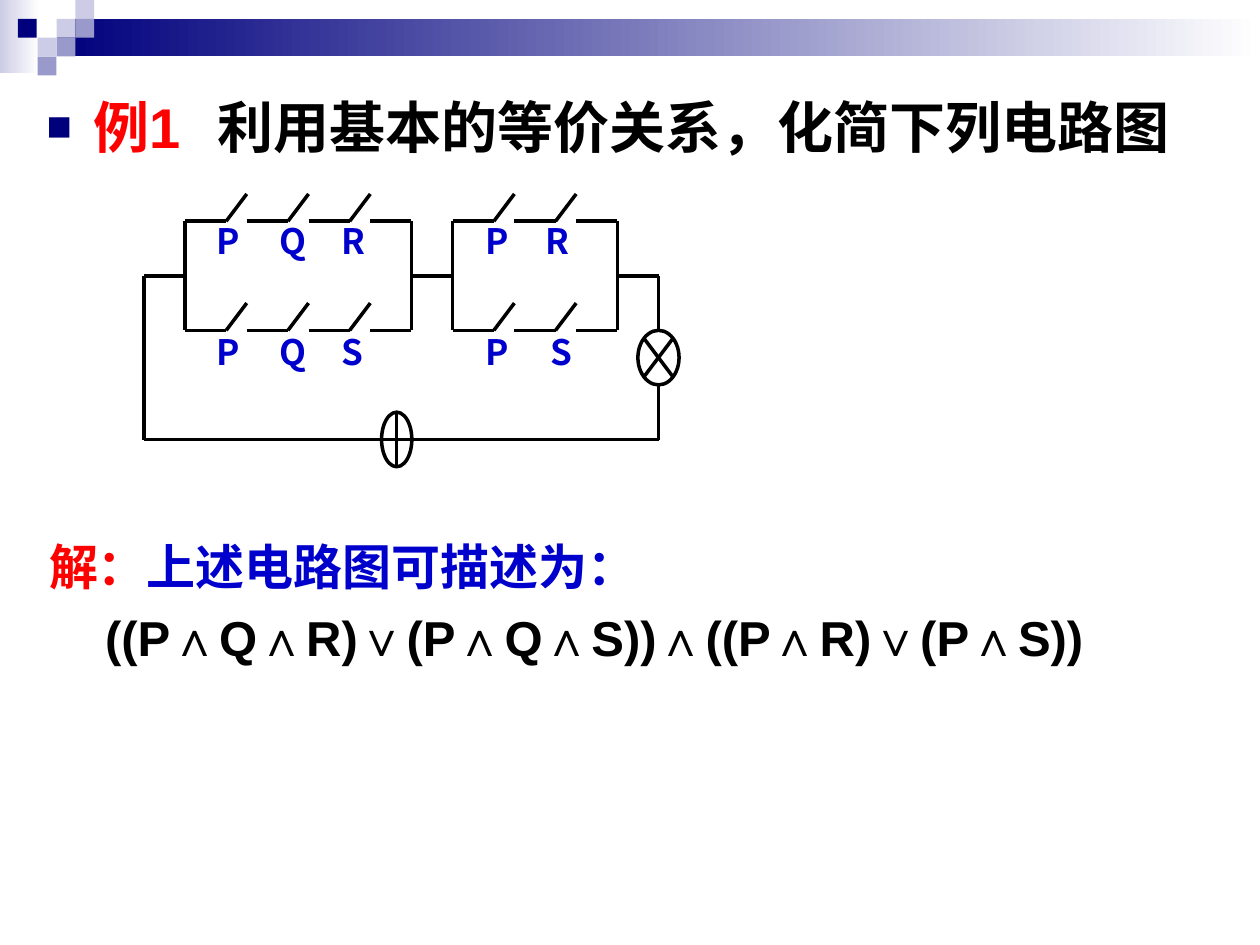
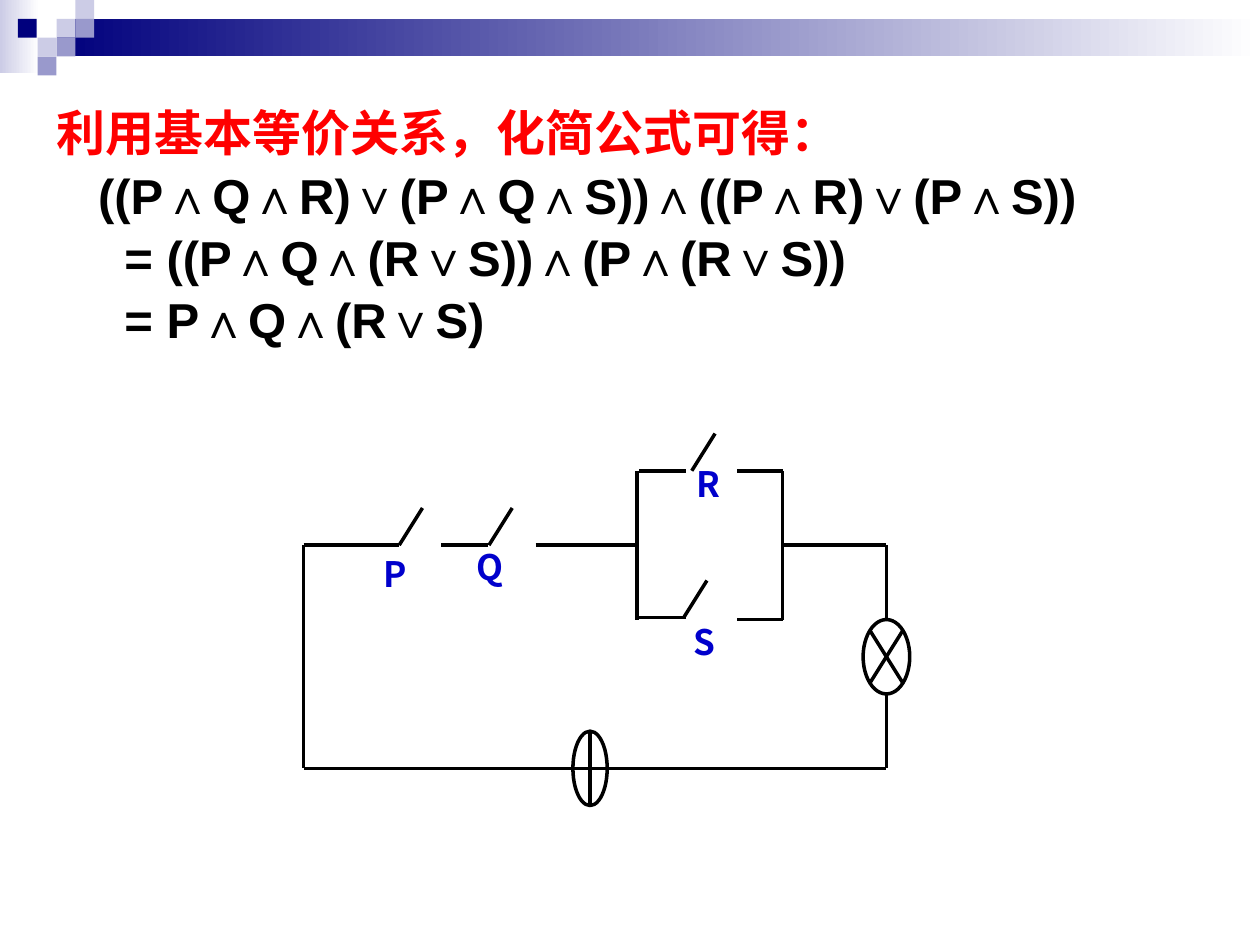
import dataclasses

import pptx
import pptx.dml.color
import pptx.enum.dml
import pptx.enum.shapes
import pptx.enum.text
import pptx.oxml
import pptx.oxml.ns
import pptx.util

Cm = pptx.util.Cm
Pt = pptx.util.Pt
KIND = pptx.enum.shapes.MSO_SHAPE
ANCHOR = pptx.enum.text.MSO_ANCHOR
ALIGN = pptx.enum.text.PP_ALIGN
FIT = pptx.enum.text.MSO_AUTO_SIZE

COLORS = {"navy": "00007D", "mid": "9999CC", "pale": "CCCCE6", "white": "FFFFFF",
          "black": "000000", "red": "FF0000", "blue": "0000CC"}
LATIN, ASIAN = "Arial", "Noto Sans CJK SC"
HEAD = {"size": Pt(32), "bold": True, "name": LATIN}
BODY = {"size": Pt(28), "bold": True, "name": LATIN}
LABEL = {"size": Pt(20), "bold": True, "name": ASIAN}
FRAME = {"word_wrap": True, "auto_size": FIT.NONE, "vertical_anchor": ANCHOR.TOP}
FORMULA = "((P∧Q∧R)∨(P∧Q∧S))∧((P∧R)∨(P∧S))"

# left, top, side and colour of the header squares
SIDE = 0.38
SQUARES = [(1.14, 0.38, "pale"), (1.52, 0, "pale"), (1.52, 0.38, "mid"),
           (0.76, 0.76, "pale"), (0.36, 0.38, "navy"), (1.14, 0.76, "mid"),
           (0.76, 1.14, "mid")]


@dataclasses.dataclass
class Grid:
    """Maps circuit units to lengths on one slide."""
    slide: object
    left: float
    top: float
    dx: float
    dy: float

    def spot(self, x, y):
        return Cm(self.left + x * self.dx), Cm(self.top + y * self.dy)


def tint(name):
    return pptx.dml.color.RGBColor.from_string(COLORS[name])


def box(slide, x, y, wide, high, start, end=None):
    """A borderless rectangle, plain or fading to the right."""
    shape = slide.shapes.add_shape(KIND.RECTANGLE, Cm(x), Cm(y), Cm(wide), Cm(high))
    shape.shadow.inherit = False
    shape.line.fill.background()
    if end is None:
        shape.fill.solid()
        shape.fill.fore_color.rgb = tint(start)
    else:
        shape.fill.gradient()
        shape.fill.gradient_angle = 0
        for stop, name in zip(shape.fill.gradient_stops, (start, end)):
            stop.color.rgb = tint(name)


def band(slide):
    box(slide, 0, 0, 0.79, 1.47, "pale", "white")
    box(slide, 1.14, 0.38, 24.26, 0.76, "navy", "white")
    for x, y, name in SQUARES:
        box(slide, x, y, SIDE, SIDE, name)


def style(run, form, color):
    for key, value in form.items():
        setattr(run.font, key, value)
    run.font.color.rgb = tint(color)
    east = pptx.oxml.parse_xml(
        f'<a:ea {pptx.oxml.ns.nsdecls("a")} typeface="{ASIAN}"/>')
    run.font._element.append(east)


def write(para, parts, form, indent=0.0, before=0):
    """Fills a paragraph with (text, colour) runs."""
    para.alignment = ALIGN.LEFT
    para._p.get_or_add_pPr().set("marL", str(Cm(indent)))
    if before:
        para.space_before = Pt(before)
    for text, color in parts:
        run = para.add_run()
        run.text = text
        style(run, form, color)


def frame(shape, x, y, wide, high, pad=(0.25, 0.13)):
    """Places a text shape and returns its prepared frame."""
    for key, value in zip(("left", "top", "width", "height"), (x, y, wide, high)):
        setattr(shape, key, Cm(value))
    text = shape.text_frame
    for key, value in FRAME.items():
        setattr(text, key, value)
    text.margin_left = text.margin_right = Cm(pad[0])
    text.margin_top = text.margin_bottom = Cm(pad[1])
    return text


def block(slide, area, lines, before, pad=(0.25, 0.13)):
    """A text box of (indent, parts) lines."""
    text = frame(slide.shapes.add_textbox(0, 0, 0, 0), *area, pad)
    for i, (indent, parts) in enumerate(lines):
        para = text.add_paragraph() if i else text.paragraphs[0]
        write(para, parts, BODY, indent, before if i else 0)


def bullet(para, hang):
    props = para._p.get_or_add_pPr()
    props.set("indent", str(-Cm(hang)))
    space = pptx.oxml.ns.nsdecls("a")
    for mark in (f'<a:buClr {space}><a:srgbClr val="{COLORS["navy"]}"/></a:buClr>',
                 f'<a:buSzPct {space} val="75000"/>',
                 f'<a:buFont {space} typeface="{LATIN}"/>',
                 f'<a:buChar {space} char="■"/>'):
        props.append(pptx.oxml.parse_xml(mark))


def label(slide, text, x, y):
    area = frame(slide.shapes.add_textbox(0, 0, 0, 0), x, y, 0.85, 1.65)
    write(area.paragraphs[0], [(text, "blue")], LABEL)


def stroke(line):
    line.color.rgb = tint("black")
    line.width = Pt(2)


def wire(grid, x1, y1, x2, y2):
    link = grid.slide.shapes.add_connector(
        pptx.enum.shapes.MSO_CONNECTOR.STRAIGHT, *grid.spot(x1, y1), *grid.spot(x2, y2))
    stroke(link.line)
    link._element.spPr.append(
        pptx.oxml.parse_xml(f'<a:effectLst {pptx.oxml.ns.nsdecls("a")}/>'))


def blade(grid, x, y):
    """The open arm of a switch."""
    wire(grid, x, y, x + 1, y - 1)


def part(grid, kind, x, y, wide):
    """A round component, two units high."""
    shape = grid.slide.shapes.add_shape(
        kind, *grid.spot(x, y), Cm(wide * grid.dx), Cm(2 * grid.dy))
    shape.shadow.inherit = False
    shape.fill.solid()
    shape.fill.fore_color.rgb = tint("white")
    stroke(shape.line)


def loop(grid):
    """The outer wires with lamp and source, the same in both circuits."""
    for ends in ((0, 3, 0, 9), (0, 9, 11.55, 9), (13, 9, 25, 9),
                 (25, 3, 25, 5), (25, 7, 25, 9)):
        wire(grid, *ends)
    part(grid, KIND.FLOWCHART_SUMMING_JUNCTION, 24, 5, 2)
    part(grid, KIND.FLOWCHART_OR, 11.55, 8, 1.47)


def branch(grid, x, y, count):
    """A row of switches, each two units of wire and one of blade."""
    for i in range(count + 1):
        start = x + 3 * i
        wire(grid, start, y, start + 2, y)
        if i < count:
            blade(grid, start + 2, y)


def pair(grid, x, count):
    """Two parallel branches joined at both ends."""
    for y in (1, 5):
        branch(grid, x, y, count)
    for side in (x, x + 3 * count + 2):
        wire(grid, side, 1, side, 5)


def start(deck):
    slide = deck.slides.add_slide(deck.slide_layouts[5])
    band(slide)
    return slide


def task(deck):
    slide = start(deck)
    title = frame(slide.shapes.title, 0.69, 1.73, 24, 2.18)
    para = title.paragraphs[0]
    write(para, [("例1", "red"), (" ", "red"), ("利用基本的等价关系，化简下列电路图", "black")],
          HEAD, 0.95)
    para.runs[1].font._element.set("spc", "1200")
    bullet(para, 0.95)

    for y, row in ((4.3, (("P", 4.12), ("Q", 5.38), ("R", 6.63), ("P", 9.53), ("R", 10.74))),
                   (6.53, (("P", 4.12), ("Q", 5.38), ("S", 6.63), ("P", 9.53), ("S", 10.85)))):
        for text, x in row:
            label(slide, text, x, y)
    grid = Grid(slide, 2.9, 3.91, 0.415, 0.55)
    loop(grid)
    pair(grid, 2, 3)
    pair(grid, 15, 2)
    for x in (0, 13, 23):
        wire(grid, x, 3, x + 2, 3)

    block(slide, (0.89, 10.72, 23.19, 2.82),
          [(0, [("解：", "red"), ("上述电路图可描述为：", "blue")]),
           (1.13, [(FORMULA, "black")])], 7, (0.1, 0.1))


def answer(deck):
    slide = start(deck)
    title = frame(slide.shapes.title, 0.89, 1.93, 23.01, 1.3)
    write(title.paragraphs[0], [("利用基本等价关系，化简公式可得：", "red")], BODY)
    block(slide, (0.89, 3.2, 23.01, 5),
          [(0.84, [(FORMULA, "black")]),
           (1.37, [("= ((P∧Q∧(R∨S))∧(P∧(R∨S))", "black")]),
           (1.37, [("= P∧Q∧(R∨S)", "black")])], 1.8)

    for text, x, y in (("P", 7.49, 11), ("Q", 9.35, 10.87),
                       ("R", 13.79, 9.19), ("S", 13.74, 12.37)):
        label(slide, text, x, y)
    grid = Grid(slide, 6.12, 8.74, 0.47, 0.75)
    loop(grid)
    for x1, x2, y in ((0, 4.1, 3), (5.9, 7.9, 3), (9.95, 14.3, 3), (20.6, 25, 3),
                      (14.4, 16.4, 1), (18.6, 20.55, 1),
                      (14.4, 16.4, 4.95), (18.6, 20.55, 5)):
        wire(grid, x1, y, x2, y)
    for x in (14.3, 20.55):
        wire(grid, x, 1, x, 5)
    for x, y in ((4.1, 3), (7.95, 3), (16.65, 1), (16.3, 4.95)):
        blade(grid, x, y)


def main():
    deck = pptx.Presentation()
    deck.slide_width, deck.slide_height = Cm(25.4), Cm(19.05)
    task(deck)
    answer(deck)
    deck.save("out.pptx")


if __name__ == "__main__":
    main()
